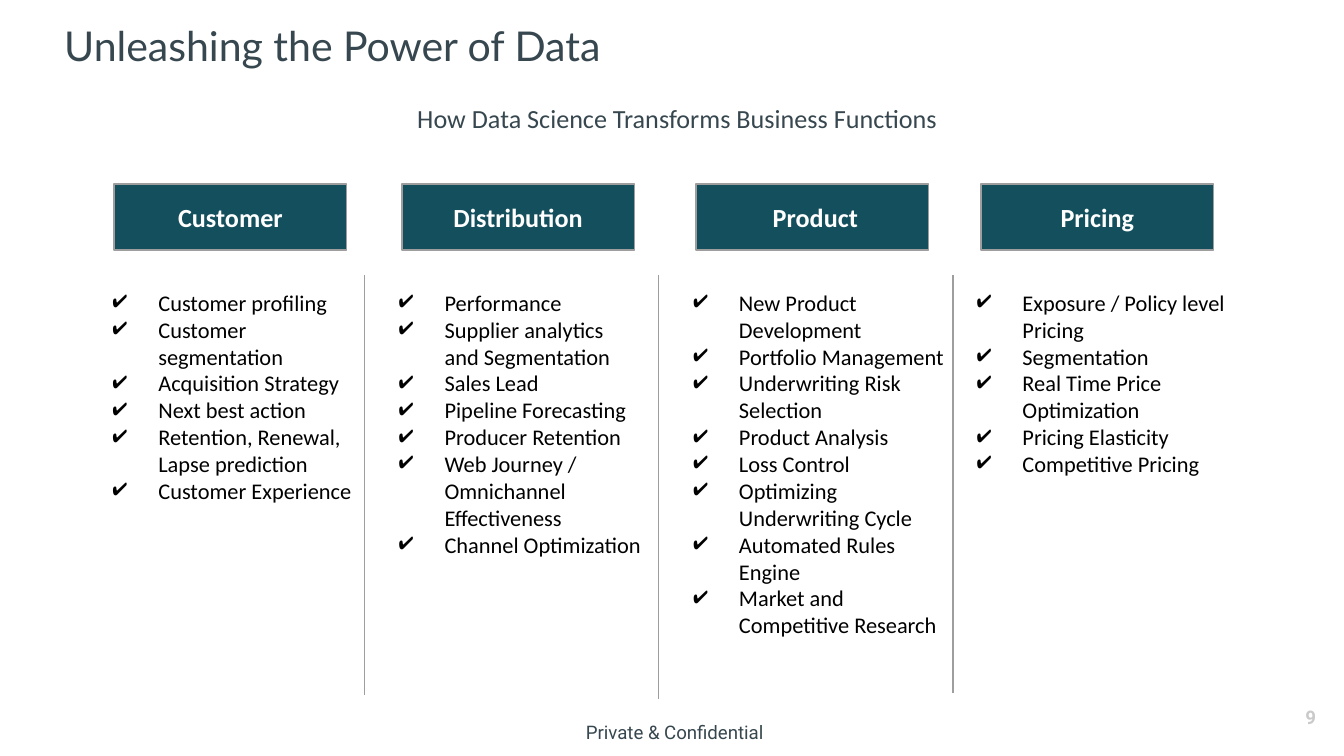
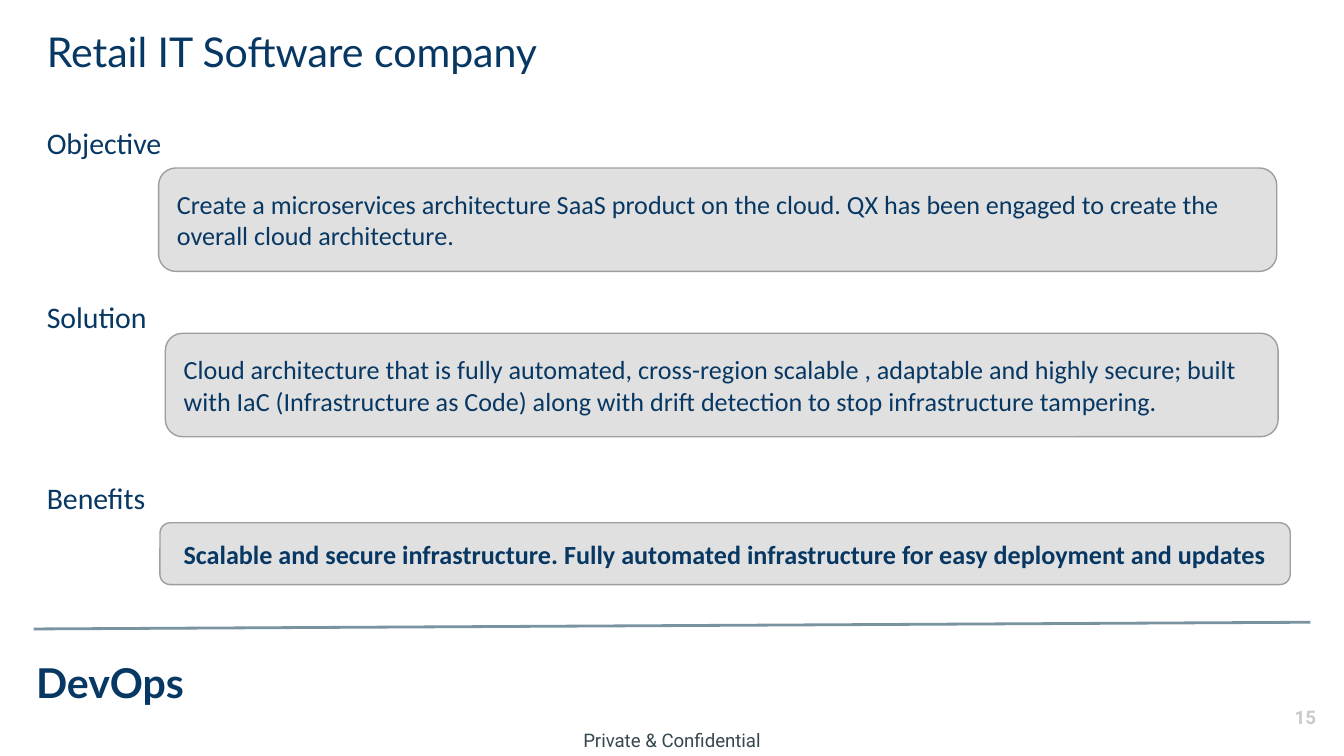
from lxml import etree
from pptx import Presentation
from pptx import util as u
from pptx.dml.color import RGBColor
from pptx.enum import shapes, text
from pptx.oxml.ns import qn

TEAL, NAVY, SLATE = "134F5C", "073763", "37474F"
GREY, PALE, STEEL = "9E9E9E", "E0E0E0", "7A93A1"
BLACK, WHITE, FAINT = "000000", "FFFFFF", "CACACA"
LEFT, MID, RIGHT = text.PP_ALIGN.LEFT, text.PP_ALIGN.CENTER, text.PP_ALIGN.RIGHT
BODY, HEAD, FOOT = "Calibri", "Lato", "Roboto"

COLS = [
    ("Customer", 0.85, (0.58, 2.05, 2.18, 1.92),
     ["Customer profiling", "Customer segmentation", "Acquisition Strategy",
      "Next best action", "Retention, Renewal, Lapse prediction",
      "Customer Experience"]),
    ("Distribution", 2.99, (2.71, 2.05, 2.17, 2.34),
     ["Performance", "Supplier analytics and Segmentation", "Sales Lead",
      "Pipeline Forecasting", "Producer Retention",
      "Web Journey / Omnichannel Effectiveness", "Channel Optimization"]),
    (" Product", 5.18, (4.9, 2.05, 2.28, 2.83),
     ["New Product Development", "Portfolio Management",
      "Underwriting Risk Selection", "Product Analysis", "Loss Control",
      "Optimizing Underwriting Cycle", "Automated Rules Engine",
      "Market and Competitive Research"]),
    ("Pricing", 7.3, (7.01, 2.05, 2.33, 1.7),
     ["Exposure / Policy level Pricing", "Segmentation",
      "Real Time Price Optimization", "Pricing Elasticity",
      "Competitive Pricing"]),
]
RULES = [(2.71, 5.17), (4.9, 5.2), (7.09, 5.16)]
PARTS = [
    ("Objective", (0.25, 0.88, 9.09, 0.37), (1.18, 1.25, 8.32, 0.77), LEFT, False,
     "Create a microservices architecture SaaS product on the cloud. QX has "
     "been engaged to create the overall cloud architecture."),
    ("Solution", (0.25, 2.17, 1.06, 0.37), (1.23, 2.48, 8.28, 0.77), LEFT, False,
     "Cloud architecture that is fully automated, cross-region scalable , "
     "adaptable and highly secure; built with IaC (Infrastructure as Code) "
     "along with drift detection to stop infrastructure tampering."),
    ("Benefits", (0.25, 3.52, 1.06, 0.37), (1.19, 3.89, 8.41, 0.46), MID, True,
     "Scalable and secure infrastructure. Fully automated infrastructure for "
     "easy deployment and updates"),
]


def color(code):
    """Return the colour for a hex string."""
    return RGBColor.from_string(code)


def place(*sizes):
    """Turn numbers into lengths in inches."""
    return [u.Inches(size) for size in sizes]


def tick(para):
    """Give a paragraph a hanging check mark."""
    props = para._p.get_or_add_pPr()
    props.set("marL", str(u.Inches(0.5)))
    props.set("indent", str(u.Inches(-0.34)))
    tint = etree.SubElement(props, qn("a:buClr"))
    etree.SubElement(tint, qn("a:srgbClr")).set("val", BLACK)
    etree.SubElement(props, qn("a:buChar")).set("char", "✔")


def write(shape, lines, size, ink, font=BODY, bold=False, align=LEFT,
          pad=0.1, middle=False, ticks=False):
    """Fill a shape with one paragraph for each line."""
    frame = shape.text_frame
    frame.word_wrap = True
    frame.margin_left = frame.margin_right = u.Inches(0.1)
    frame.margin_top = frame.margin_bottom = u.Inches(pad)
    anchor = text.MSO_ANCHOR
    frame.vertical_anchor = anchor.MIDDLE if middle else anchor.TOP
    for num, line in enumerate(lines):
        para = frame.add_paragraph() if num else frame.paragraphs[0]
        para.alignment = align
        if ticks:
            tick(para)
        run = para.add_run()
        run.text = line
        run.font.name, run.font.size = font, u.Pt(size)
        run.font.bold = bold
        run.font.color.rgb = color(ink)


def label(slide, spot, lines, size, ink, **style):
    """Add a text box."""
    write(slide.shapes.add_textbox(*place(*spot)), lines, size, ink, **style)


def panel(slide, kind, spot, fill, words, ink, **style):
    """Add a filled shape with a thin grey edge and text."""
    shape = slide.shapes.add_shape(kind, *place(*spot))
    shape.shadow.inherit = False
    shape.fill.solid()
    shape.fill.fore_color.rgb = color(fill)
    shape.line.color.rgb = color(GREY)
    shape.line.width = u.Pt(0.75)
    write(shape, [words], 14, ink, middle=True, **style)


def rule(slide, ends, ink, width):
    """Draw a straight line."""
    line = slide.shapes.add_connector(shapes.MSO_CONNECTOR.STRAIGHT, *place(*ends))
    line.line.color.rgb = color(ink)
    line.line.width = u.Pt(width)
    etree.SubElement(line._element.spPr, qn("a:effectLst"))


def start(deck, title, spot, ink, page, foot):
    """Add a slide with its title, page number and footer."""
    slide = deck.slides.add_slide(deck.slide_layouts[6])
    label(slide, spot, [title], 22, ink, font=HEAD)
    label(slide, (9.29, 5.12, 0.6, 0.43), [page], 10, FAINT, font=FOOT,
          bold=True, align=RIGHT, middle=True)
    label(slide, (*foot, 2.1, 0.28), ["Private & Confidential"], 10, SLATE,
          font=FOOT, align=MID)
    return slide


def power(deck):
    """Build the slide on business functions."""
    slide = start(deck, "Unleashing the Power of Data", (0.38, 0.05, 8.9, 0.57),
                  SLATE, "9", (3.97, 5.28))
    label(slide, (2.09, 0.66, 5.9, 0.44),
          ["How Data Science Transforms Business Functions"], 14, SLATE, align=MID)
    for name, left, spot, items in COLS:
        panel(slide, shapes.MSO_SHAPE.RECTANGLE, (left, 1.37, 1.73, 0.49), TEAL,
              name, WHITE, bold=True, align=MID)
        label(slide, spot, items, 12, BLACK, ticks=True)
    for left, end in RULES:
        rule(slide, (left, 2.05, left, end), GREY, 0.75)


def retail(deck):
    """Build the slide on the retail software case."""
    slide = start(deck, "Retail IT Software company", (0.25, 0.1, 4.97, 0.57),
                  NAVY, "15", (3.95, 5.34))
    for name, top, spot, align, bold, words in PARTS:
        label(slide, top, [name], 16, NAVY, pad=0.05)
        panel(slide, shapes.MSO_SHAPE.ROUNDED_RECTANGLE, spot, PALE, words,
              NAVY, align=align, bold=bold)
    rule(slide, (0.25, 4.68, 9.75, 4.63), STEEL, 1.5)
    label(slide, (0.17, 4.79, 3.28, 0.44), ["DevOps"], 22, NAVY, font=HEAD,
          bold=True)


def main():
    """Build and save the deck."""
    deck = Presentation()
    deck.slide_width = u.Inches(10)
    deck.slide_height = u.Inches(10 * 9 / 16)
    power(deck)
    retail(deck)
    deck.save("out.pptx")


if __name__ == "__main__":
    main()
